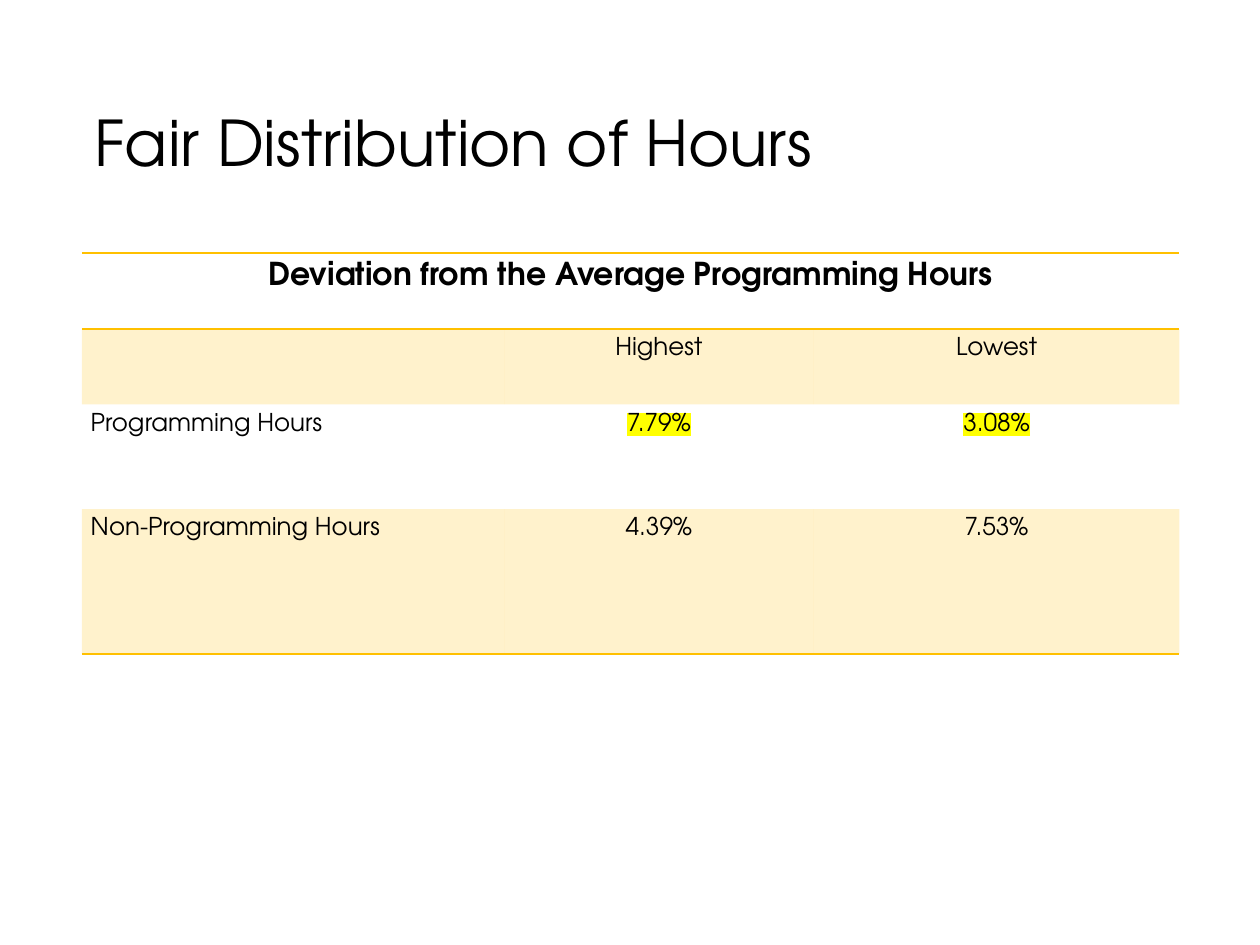
from lxml import etree
from pptx import Presentation
from pptx.dml.color import RGBColor
from pptx.enum.text import MSO_ANCHOR, PP_ALIGN
from pptx.oxml.ns import qn
from pptx.util import Inches, Pt

CENTER, LEFT = PP_ALIGN.CENTER, PP_ALIGN.LEFT
MIDDLE = MSO_ANCHOR.MIDDLE
TITLE_ONLY = 5

FONT = "TeX Gyre Adventor"
COLORS = {"text": "000000", "gold": "FFC000", "highlight": "FFFF00"}
NO_STYLE = "{2D5ABB26-0587-4C30-8999-92F81FD0307C}"

COL_WIDTHS = [3.35, 2.46, 2.9]
ROW_HEIGHTS = [0.6, 0.6, 0.83, 1.15]
ROWS = [
    ["Deviation from the Average Programming Hours", "", ""],
    ["", "Highest", "Lowest"],
    ["Programming Hours", "7.79%", "3.08%"],
    ["Non-Programming Hours", "4.39%", "7.53%"],
]
BORDERS = {0: ["lnT", "lnB"], 3: ["lnB"]}
SHADED_ROWS = {1, 3}
HIGHLIGHTED = {"7.79%", "3.08%"}


def add_color(parent, tag, color):
    """Append an XML element that holds one RGB colour."""
    element = etree.SubElement(parent, qn(tag))
    etree.SubElement(element, qn("a:srgbClr"), val=COLORS[color])


def format_paragraph(p, size, align=LEFT, bold=False):
    p.alignment = align
    p.font.name = FONT
    p.font.size = Pt(size)
    p.font.bold = bold
    p.font.color.rgb = RGBColor.from_string(COLORS["text"])


def add_title(s, text):
    title = s.shapes.title
    title.left, title.top = Inches(0.65), Inches(0.58)
    title.width, title.height = Inches(8.62), Inches(1.16)
    tf = title.text_frame
    tf.text = text
    tf.vertical_anchor = MIDDLE
    p = tf.paragraphs[0]
    format_paragraph(p, 36)
    p.line_spacing = 0.9


def add_borders(cell, sides):
    tc_pr = cell._tc.get_or_add_tcPr()
    for side in sides:
        line = etree.SubElement(tc_pr, qn(f"a:{side}"), w=str(Pt(1)))
        add_color(line, "a:solidFill", "gold")


def shade(cell):
    """Fill the cell with gold at 20% opacity."""
    cell.fill.solid()
    cell.fill.fore_color.rgb = RGBColor.from_string(COLORS["gold"])
    rgb = cell._tc.tcPr.find(".//" + qn("a:solidFill") + "[last()]/" + qn("a:srgbClr"))
    for rgb in cell._tc.tcPr.findall(qn("a:solidFill") + "/" + qn("a:srgbClr")):
        etree.SubElement(rgb, qn("a:alpha"), val="20000")


def fill_cell(cell, text, row, col):
    cell.margin_left = cell.margin_right = Inches(0.07)
    cell.margin_top = cell.margin_bottom = Inches(0.07)
    cell.text = text
    p = cell.text_frame.paragraphs[0]
    heading = row == 0
    format_paragraph(p, 18 if heading else 14,
                     CENTER if heading or col else LEFT, heading)
    if text in HIGHLIGHTED:
        add_color(p.runs[0]._r.get_or_add_rPr(), "a:highlight", "highlight")
    # Borders come before the fill in the cell properties
    add_borders(cell, BORDERS.get(row, []))
    if row in SHADED_ROWS:
        shade(cell)


def add_hours_table(s):
    frame = s.shapes.add_table(len(ROWS), len(COL_WIDTHS), Inches(0.65), Inches(2.01),
                               Inches(sum(COL_WIDTHS)), Inches(sum(ROW_HEIGHTS)))
    table = frame.table
    table.first_row = table.horz_banding = False
    table._tbl.tblPr.find(qn("a:tableStyleId")).text = NO_STYLE
    for column, width in zip(table.columns, COL_WIDTHS):
        column.width = Inches(width)
    for row, height in zip(table.rows, ROW_HEIGHTS):
        row.height = Inches(height)
    for r, texts in enumerate(ROWS):
        for c, text in enumerate(texts):
            fill_cell(table.cell(r, c), text, r, c)
    # The heading spans all columns
    table.cell(0, 0).merge(table.cell(0, len(COL_WIDTHS) - 1))


def main():
    prs = Presentation()
    prs.slide_width, prs.slide_height = Inches(10), Inches(7.5)
    s = prs.slides.add_slide(prs.slide_layouts[TITLE_ONLY])
    add_title(s, "Fair Distribution of Hours")
    add_hours_table(s)
    prs.save("out.pptx")


if __name__ == "__main__":
    main()
